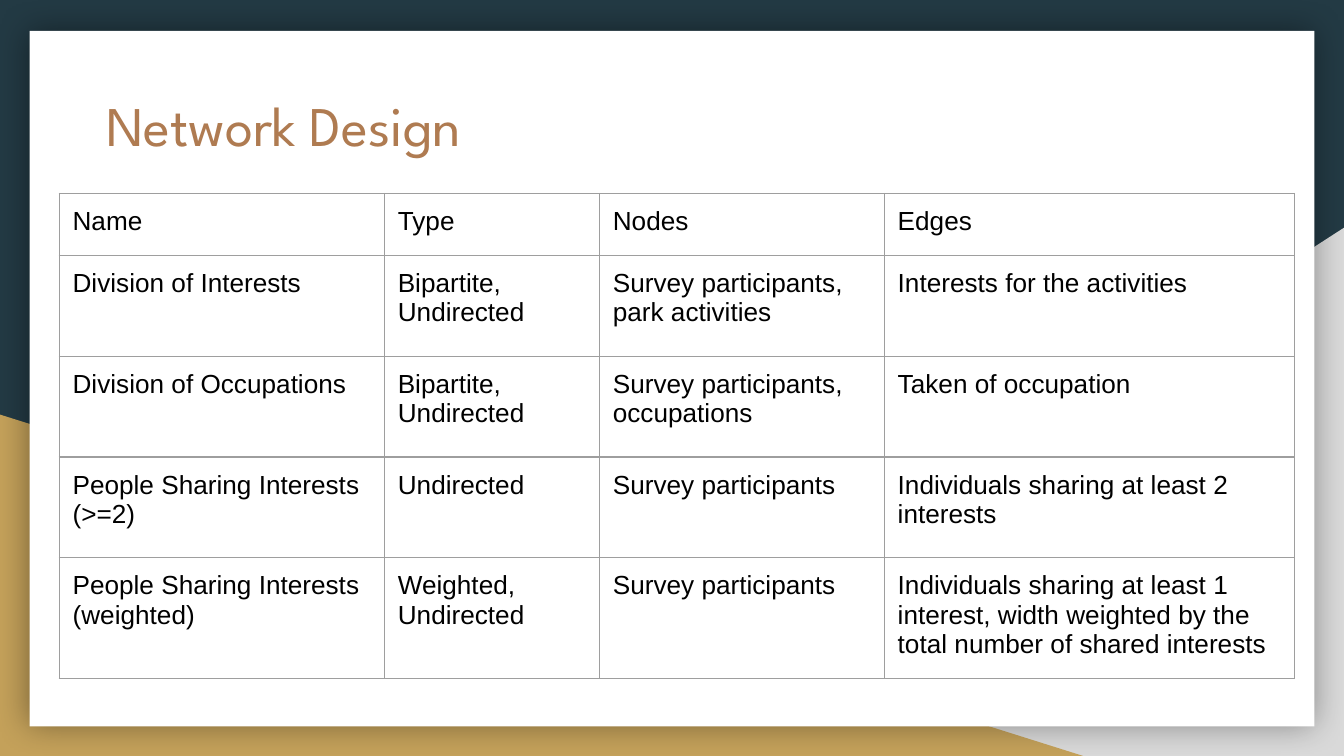
from lxml import etree
from pptx import Presentation
from pptx.dml.color import RGBColor
from pptx.enum import shapes, text
from pptx.oxml import parse_xml
from pptx.oxml.ns import nsdecls
from pptx.util import Inches, Pt

NAVY = RGBColor(0x23, 0x3A, 0x44)
GREY = RGBColor(0xD9, 0xD9, 0xD9)
GOLD = RGBColor(0xC4, 0xA1, 0x5A)
WHITE = RGBColor(0xFF, 0xFF, 0xFF)
BROWN = RGBColor(0xAF, 0x7B, 0x51)
BLACK = RGBColor(0, 0, 0)
RULE = RGBColor(0x9E, 0x9E, 0x9E)

WIDTH = 10
HEIGHT = WIDTH * 9 / 16
COLS = [2.42, 1.6, 2.12, 3.05]
ROWS = [0.46, 0.75, 0.75, 0.75, 0.9]
CELLS = [
    ["Name", "Type", "Nodes", "Edges"],
    ["Division of Interests", "Bipartite, Undirected",
     "Survey participants, park activities", "Interests for the activities"],
    ["Division of Occupations", "Bipartite, Undirected",
     "Survey participants, occupations", "Taken of occupation"],
    ["People Sharing Interests (>=2)", "Undirected",
     "Survey participants", "Individuals sharing at least 2 interests"],
    ["People Sharing Interests (weighted)", "Weighted, Undirected",
     "Survey participants",
     "Individuals sharing at least 1 interest, width weighted by the "
     "total number of shared interests"],
]


def write(frame, words, size=14, font="Arial", color=BLACK):
    """Write left-aligned text in the given format."""
    para = frame.paragraphs[0]
    para.alignment = text.PP_ALIGN.LEFT
    run = para.add_run()
    run.text = words
    run.font.size = Pt(size)
    run.font.name = font
    run.font.color.rgb = color


def add_block(slide, kind, box, color):
    """Add a plain filled shape without outline or shadow."""
    block = slide.shapes.add_shape(kind, *map(Inches, box))
    block.fill.solid()
    block.fill.fore_color.rgb = color
    block.line.fill.background()
    block.shadow.inherit = False
    return block


def add_glow(shape, blur, alpha):
    """Give the shape a soft, centred black shadow."""
    effects = shape.element.spPr.find(
        "{http://schemas.openxmlformats.org/drawingml/2006/main}effectLst")
    effects.append(parse_xml(
        f'<a:outerShdw {nsdecls("a")} blurRad="{Pt(blur)}" dist="0" dir="0" '
        f'algn="ctr" rotWithShape="0"><a:srgbClr val="{BLACK}">'
        f'<a:alpha val="{alpha * 1000}"/></a:srgbClr></a:outerShdw>'))


def add_backdrop(slide, box):
    """Add the corner triangles and the white card inside the box."""
    left, top, width, height = box
    right, base = left + width, top + height
    corner = shapes.MSO_SHAPE.RIGHT_TRIANGLE
    grey = add_block(slide, corner, (right - 6.08, base - 3.93, 6.08, 3.93), GREY)
    grey.element.spPr.get_or_add_xfrm().set("flipH", "1")
    add_block(slide, corner, (left, base - 2.54, 8.06, 2.54), GOLD)
    card = add_block(slide, shapes.MSO_SHAPE.RECTANGLE,
                     (left + 0.22, top + 0.23, width - 0.44, height - 0.45), WHITE)
    add_glow(card, blur=18, alpha=40)


def add_title(slide, box, words):
    """Move the title to the front and format it."""
    title = slide.shapes.title
    title.left, title.top, title.width, title.height = map(Inches, box)
    slide.shapes.element.append(title.element)
    frame = title.text_frame
    frame.word_wrap = True
    frame.auto_size = text.MSO_AUTO_SIZE.NONE
    frame.vertical_anchor = text.MSO_ANCHOR.TOP
    frame.margin_left = frame.margin_right = Inches(0.1)
    frame.margin_top = frame.margin_bottom = Inches(0.1)
    write(frame, words, size=30, font="League Spartan", color=BROWN)


def add_rules(cell):
    """Draw a thin line on all four sides of the cell."""
    props = cell._tc.get_or_add_tcPr()
    for spot, side in enumerate("LRTB"):
        line = etree.fromstring(
            f'<a:ln{side} {nsdecls("a")} w="{Pt(0.75)}"><a:solidFill>'
            f'<a:srgbClr val="{RULE}"/></a:solidFill></a:ln{side}>')
        props.insert(spot, line)


def add_grid(slide, box):
    """Add the table of networks in the box."""
    frame = slide.shapes.add_table(len(ROWS), len(COLS), *map(Inches, box))
    table = frame.table
    table.first_row = table.horz_banding = False
    for col, width in zip(table.columns, COLS):
        col.width = Inches(width)
    for row, height, line in zip(table.rows, ROWS, CELLS):
        row.height = Inches(height)
        for cell, words in zip(row.cells, line):
            cell.margin_left = cell.margin_right = Inches(0.1)
            cell.margin_top = cell.margin_bottom = Inches(0.1)
            cell.fill.background()
            add_rules(cell)
            write(cell.text_frame, words)


def main():
    """Build the slide and save it."""
    deck = Presentation()
    deck.slide_width, deck.slide_height = Inches(WIDTH), Inches(HEIGHT)
    slide = deck.slides.add_slide(deck.slide_layouts[5])
    slide.background.fill.solid()
    slide.background.fill.fore_color.rgb = NAVY
    add_backdrop(slide, (0, 0, WIDTH, HEIGHT))
    add_title(slide, (0.69, 0.57, 8.21, 1.04), "Network Design")
    add_grid(slide, (0.44, 1.44, sum(COLS), sum(ROWS)))
    deck.save("out.pptx")


if __name__ == "__main__":
    main()
